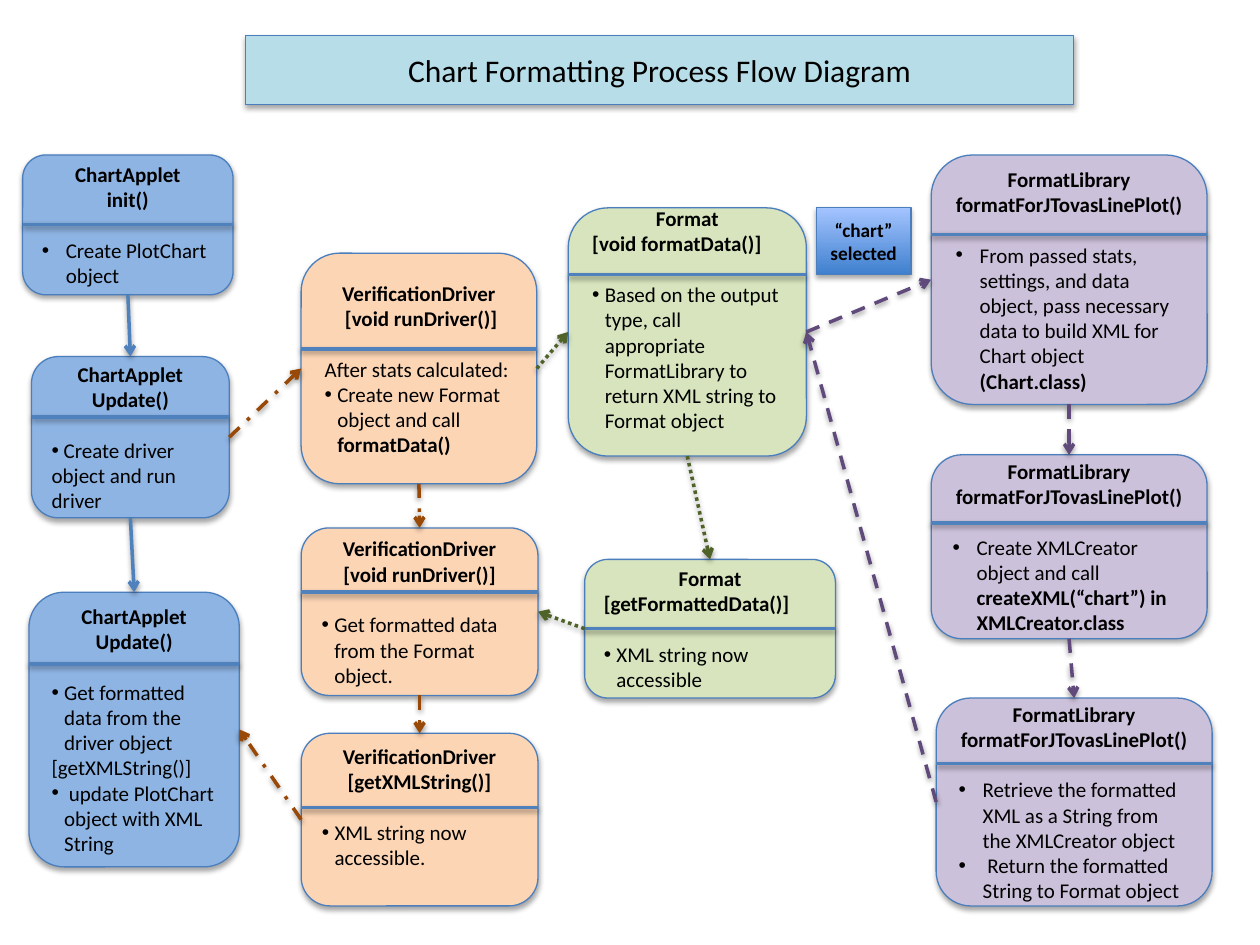
from lxml import etree
from pptx import Presentation
from pptx.dml.color import RGBColor
from pptx.enum.dml import MSO_LINE
from pptx.enum.shapes import MSO_CONNECTOR, MSO_SHAPE
from pptx.enum.text import MSO_ANCHOR, MSO_AUTO_SIZE, PP_ALIGN
from pptx.oxml import parse_xml
from pptx.util import Inches, Pt

ROUND, RECT = MSO_SHAPE.ROUNDED_RECTANGLE, MSO_SHAPE.RECTANGLE
STRAIGHT = MSO_CONNECTOR.STRAIGHT
CENTER, LEFT = PP_ALIGN.CENTER, PP_ALIGN.LEFT
SOLID, DASH = MSO_LINE.SOLID, MSO_LINE.DASH
DASH_DOT, DOT = MSO_LINE.DASH_DOT, MSO_LINE.ROUND_DOT
TOP_SITE, LEFT_SITE, BOTTOM_SITE, RIGHT_SITE = range(4)
NS = "http://schemas.openxmlformats.org/drawingml/2006/main"
BLUE, ORANGE, GREEN, PURPLE = "8EB4E3", "FCD5B5", "D7E4BD", "CCC1DA"
EDGE, RULE = "4B7EBC", "4F81BD"
BROWN, OLIVE, VIOLET = "984807", "4F6228", "604A7B"
rgb = RGBColor.from_string

prs = Presentation()
prs.slide_width, prs.slide_height = Inches(10), Inches(7.5)
U = prs.slide_width / 100
s = prs.slides.add_slide(prs.slide_layouts[5])


def outline(sp, color, width, alpha, dist):
    sp.line.color.rgb = rgb(color)
    sp.line.width = Pt(width)
    sp._element.spPr.append(parse_xml(
        f'<a:effectLst xmlns:a="{NS}"><a:outerShdw blurRad="{Pt(3.1)}" dist="{Pt(dist)}" '
        f'dir="5400000" rotWithShape="0"><a:srgbClr val="000000"><a:alpha val="{alpha}000"/>'
        '</a:srgbClr></a:outerShdw></a:effectLst>'))


def write(p, text, size, bold, align):
    p.alignment = align
    r = p.add_run()
    r.text = text
    r.font.name, r.font.size, r.font.bold = "Calibri", Pt(size), bold
    r.font.color.rgb = rgb("000000")


title = s.shapes.title
title.left, title.top, title.width, title.height = [int(v * U) for v in (19.5, 2.8, 65.7, 5.5)]
title._element.spPr.append(parse_xml(f'<a:prstGeom xmlns:a="{NS}" prst="roundRect"><a:avLst/></a:prstGeom>'))
title.fill.solid()
title.fill.fore_color.rgb = rgb("B7DEE8")
outline(title, EDGE, 0.75, 35, 1.8)
tf = title.text_frame
tf.auto_size, tf.vertical_anchor = MSO_AUTO_SIZE.NONE, MSO_ANCHOR.MIDDLE
write(tf.paragraphs[0], "Chart Formatting Process Flow Diagram", 18, False, CENTER)

boxes = {
    "init": (BLUE, (1.8, 12.3, 16.7, 11.1), 17.8, 0, CENTER, ("ChartApplet", "init()"),
             [(0.19, "Create PlotChart object", "")]),
    "update": (BLUE, (2.5, 28.3, 15.7, 12.8), 33.1, 0, CENTER, ("ChartApplet", "Update()"),
               [(0, " Create driver object and run driver", "")]),
    "redraw": (BLUE, (2.3, 47, 16.7, 21.8), 52.7, 0, CENTER, ("ChartApplet", "Update()"),
               [(0.1, "Get formatted data from the driver object", ""),
                (None, "[getXMLString()]", ""),
                (0.1, " update PlotChart object with XML String", "")]),
    "run": (ORANGE, (23.9, 20.1, 18.7, 18.3), 27.7, 0, CENTER,
            ("VerificationDriver", " [void runDriver()]"),
            [(None, "After stats calculated:", ""),
             (0.1, "Create new Format object and call ", "formatData()")]),
    "fetch": (ORANGE, (23.9, 41.9, 18.8, 13.3), 47, 0, CENTER,
              ("VerificationDriver", "[void runDriver()]"),
              [(0.1, "Get formatted data from the Format object.", "")]),
    "xml": (ORANGE, (23.9, 58.2, 18.8, 13.7), 64.1, 2, CENTER,
            ("VerificationDriver", "[getXMLString()]"),
            [(0.1, "XML string now accessible.", "")]),
    "format": (GREEN, (45.1, 16.5, 18.9, 19.7), 21.8, 2, LEFT, ("Format", "[void formatData()]"),
               [(0.1, "Based on the output type, call appropriate FormatLibrary "
                      "to return XML string to Format object", "")]),
    "formatted": (GREEN, (46.4, 44.4, 19.9, 11), 49.9, 0, LEFT, ("Format", "[getFormattedData()]"),
                  [(0.1, "XML string now accessible", "")]),
    "build": (PURPLE, (73.9, 12.3, 21.9, 19.8), 18.6, 0, CENTER,
              ("FormatLibrary", "formatForJTovasLinePlot()"),
              [(0.19, "From passed stats, settings, and data object, pass necessary data "
                      "to build XML for Chart object ", "(Chart.class)")]),
    "create": (PURPLE, (73.9, 36.1, 21.9, 14.6), 41.5, 0, CENTER,
               ("FormatLibrary", "formatForJTovasLinePlot()"),
               [(0.19, "Create XMLCreator object and call ",
                 "createXML(“chart”) in XMLCreator.class")]),
    "retrieve": (PURPLE, (74.3, 55.4, 21.9, 16.5), 60.6, 0, CENTER,
                 ("FormatLibrary", "formatForJTovasLinePlot()"),
                 [(0.19, "Retrieve the formatted XML as a String from the XMLCreator object", ""),
                  (0.19, " Return the formatted String to Format object", "")]),
}
shapes = {}
for name, (fill, cell, rule, lift, align, heads, body) in boxes.items():
    sp = shapes[name] = s.shapes.add_shape(ROUND, *[int(v * U) for v in cell])
    sp.fill.solid()
    sp.fill.fore_color.rgb = rgb(fill)
    outline(sp, EDGE, 0.75, 35, 1.8)
    tf = sp.text_frame
    tf.word_wrap, tf.vertical_anchor = True, MSO_ANCHOR.MIDDLE
    tf.margin_bottom = int((0.5 + lift) * U)
    write(tf.paragraphs[0], heads[0], 12, True, CENTER)
    write(tf.add_paragraph(), heads[1], 12, True, align)
    for i, (indent, text, strong) in enumerate(body):
        p = tf.add_paragraph()
        write(p, text, 12, False, LEFT)
        if strong:
            write(p, strong, 12, True, LEFT)
        if i == 0:
            p.space_before = Pt(14.6)
        if indent is not None:
            pPr = p._p.get_or_add_pPr()
            pPr.set("marL", str(Inches(indent)))
            pPr.set("indent", str(-Inches(indent)))
            etree.SubElement(pPr, f"{{{NS}}}buFont", typeface="Arial")
            etree.SubElement(pPr, f"{{{NS}}}buChar", char="•")
    y = int(rule * U)
    line = s.shapes.add_connector(STRAIGHT, sp.left, y, sp.left + sp.width, y)
    outline(line, RULE, 2, 38, 1.6)

tag = s.shapes.add_shape(RECT, *[int(v * U) for v in (64.8, 16.5, 7.5, 5.3)])
tag.fill.gradient()
tag.fill.gradient_angle = 90
for stop, color in zip(tag.fill.gradient_stops, ("3F80CE", "A4C4FF")):
    stop.color.rgb = rgb(color)
outline(tag, EDGE, 0.75, 35, 1.8)
tf = tag.text_frame
tf.word_wrap, tf.vertical_anchor = True, MSO_ANCHOR.MIDDLE
write(tf.paragraphs[0], "“chart”", 11, True, CENTER)
write(tf.add_paragraph(), "selected", 11, True, CENTER)

arrows = [
    ("init", BOTTOM_SITE, "update", TOP_SITE, RULE, SOLID),
    ("update", BOTTOM_SITE, "redraw", TOP_SITE, RULE, SOLID),
    ("update", RIGHT_SITE, "run", LEFT_SITE, BROWN, DASH_DOT),
    ("run", BOTTOM_SITE, "fetch", TOP_SITE, BROWN, DASH_DOT),
    ("fetch", BOTTOM_SITE, "xml", TOP_SITE, BROWN, DASH_DOT),
    ("xml", LEFT_SITE, "redraw", RIGHT_SITE, BROWN, DASH_DOT),
    ("run", RIGHT_SITE, "format", LEFT_SITE, OLIVE, DOT),
    ("format", BOTTOM_SITE, "formatted", TOP_SITE, OLIVE, DOT),
    ("formatted", LEFT_SITE, "fetch", RIGHT_SITE, OLIVE, DOT),
    ("format", RIGHT_SITE, "build", LEFT_SITE, VIOLET, DASH),
    ("build", BOTTOM_SITE, "create", TOP_SITE, VIOLET, DASH),
    ("create", BOTTOM_SITE, "retrieve", TOP_SITE, VIOLET, DASH),
    ("retrieve", LEFT_SITE, "format", RIGHT_SITE, VIOLET, DASH),
]
for start, start_site, end, end_site, color, dash in arrows:
    line = s.shapes.add_connector(STRAIGHT, 0, 0, 0, 0)
    line.begin_connect(shapes[start], start_site)
    line.end_connect(shapes[end], end_site)
    outline(line, color, 2, 38, 1.6)
    line.line.dash_style = dash
    etree.SubElement(line.line._get_or_add_ln(), f"{{{NS}}}tailEnd", type="arrow")

prs.save("out.pptx")
